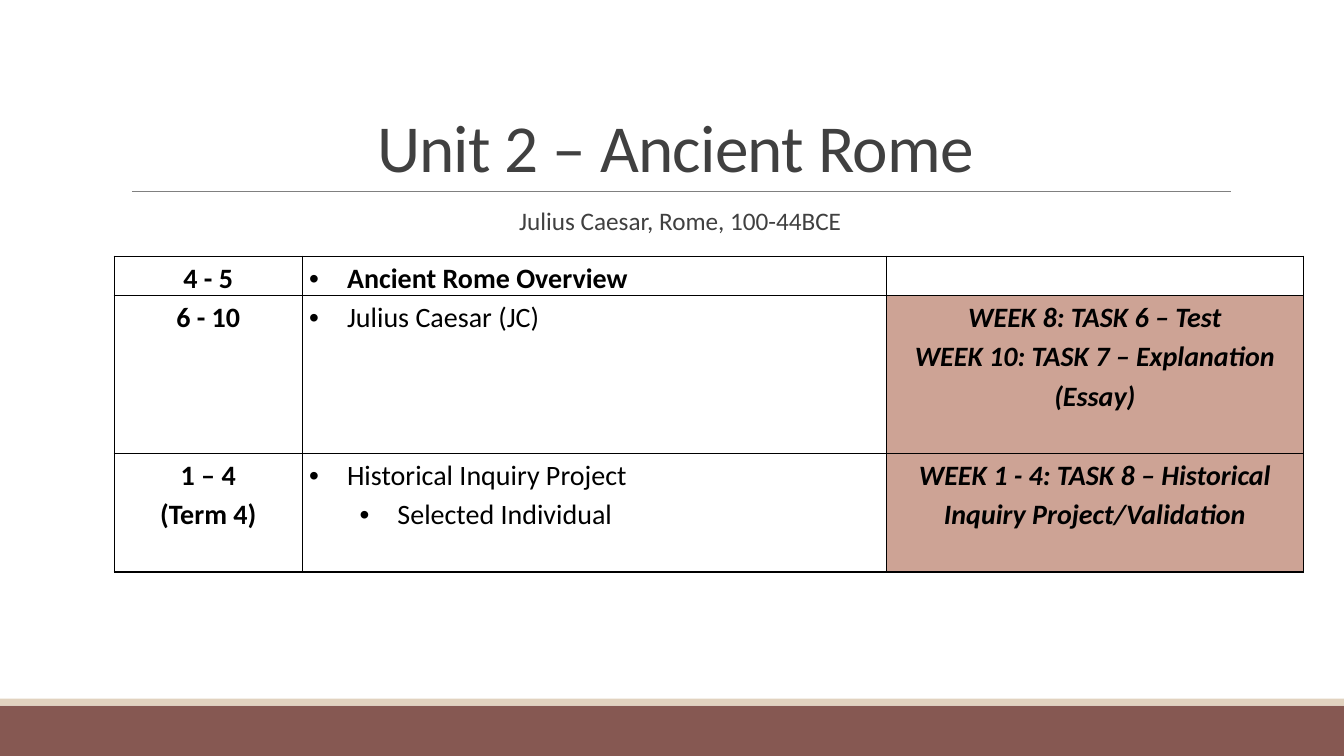
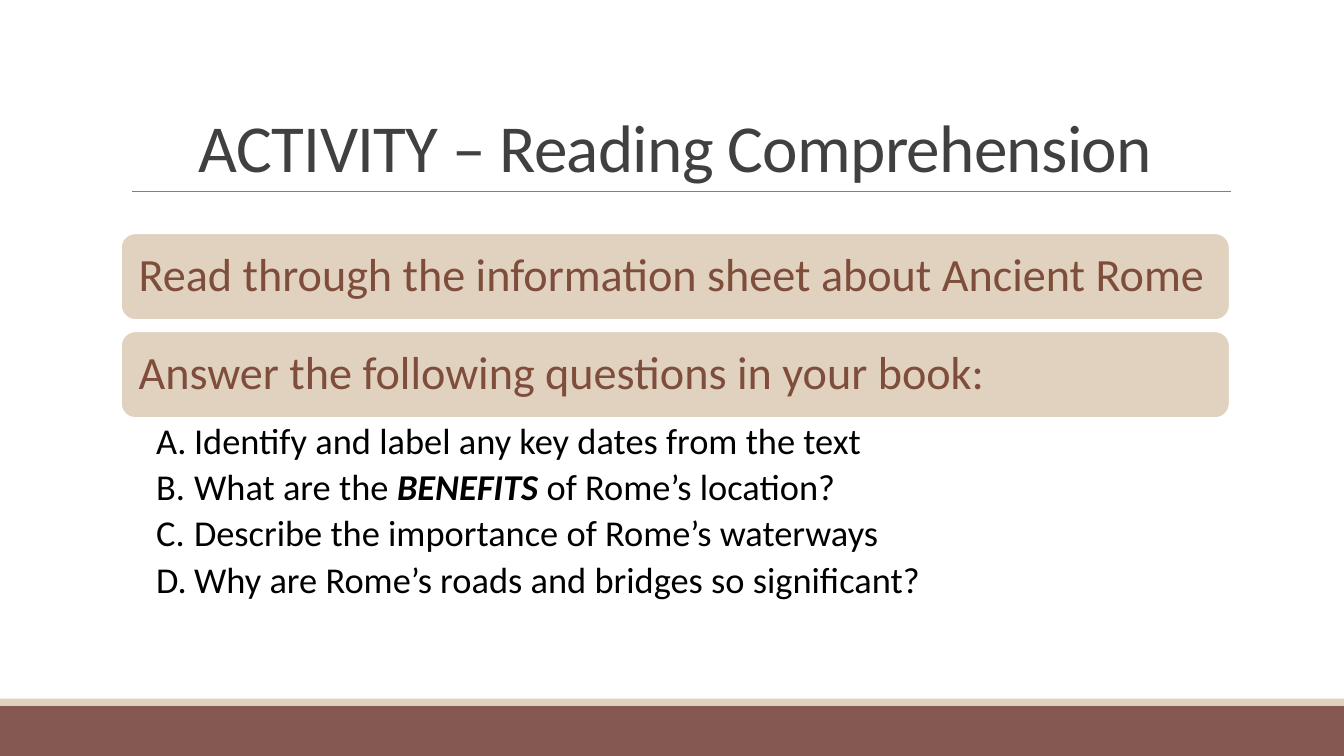
from dataclasses import dataclass

from lxml.etree import SubElement
from pptx import Presentation
from pptx.dml.color import RGBColor
from pptx.enum.shapes import MSO_CONNECTOR as Connector, MSO_SHAPE as Shape
from pptx.enum.text import MSO_ANCHOR as Anchor, PP_ALIGN as Align
from pptx.oxml.ns import qn
from pptx.util import Pt


@dataclass(frozen=True)
class Theme:
    """Colours, font and type sizes shared by the slides."""

    font: str = "Calibri"
    footer: str = "865852"
    sand: str = "E1D2BF"
    rule: str = "808080"
    heading: str = "404040"
    brown: str = "7F4D3C"
    task: str = "CDA395"
    ink: str = "000000"
    white: str = "FFFFFF"
    title_size: float = 48
    subtitle_size: float = 18
    table_size: float = 20
    banner_size: float = 33
    question_size: float = 26


THEME = Theme()
WIDTH, HEIGHT = 960, 540
CONTENT_LEFT, CONTENT_WIDTH = 86.4, 792


def rgb(code):
    """Turn a hex code into a colour."""
    return RGBColor.from_string(code)


def write(frame, text, size, color=THEME.ink, bold=False, italic=False, align=Align.LEFT,
          leading=0.9, after=0, tracking=0, bullet=None, indent=0, hang=0):
    """Add one paragraph; parts between bars are bold italic."""
    para = frame.paragraphs[0]
    if para.runs:
        para = frame.add_paragraph()
    para.alignment, para.line_spacing, para.space_after = align, leading, Pt(after)
    if bullet:
        props = para._p.get_or_add_pPr()
        props.set("marL", str(Pt(indent)))
        props.set("indent", str(-Pt(hang)))
        if bullet == "letters":
            SubElement(props, qn("a:buFont"), typeface=THEME.font)
            SubElement(props, qn("a:buAutoNum"), type="alphaUcPeriod")
        else:
            SubElement(props, qn("a:buFont"), typeface="Arial")
            SubElement(props, qn("a:buChar"), char=bullet)
    for index, part in enumerate(text.split("|")):
        span = para.add_run()
        span.text = part
        font = span.font
        font.name, font.size, font.color.rgb = THEME.font, Pt(size), rgb(color)
        font.bold, font.italic = bold or index % 2 == 1, italic or index % 2 == 1
        if tracking:
            span._r.get_or_add_rPr().set("spc", str(int(tracking * 100)))


def set_frame(frame, insets, anchor=Anchor.TOP):
    """Wrap a text frame and set its insets and anchor."""
    frame.word_wrap, frame.vertical_anchor = True, anchor
    (frame.margin_left, frame.margin_top,
     frame.margin_right, frame.margin_bottom) = [Pt(inset) for inset in insets]
    return frame


def add_text_box(page, box, insets, anchor=Anchor.TOP):
    """Add a text box and return its frame."""
    shape = page.shapes.add_textbox(*[Pt(length) for length in box])
    return set_frame(shape.text_frame, insets, anchor)


def add_block(page, kind, box, fill, line=None):
    """Add a filled shape, outlined on request."""
    shape = page.shapes.add_shape(kind, *[Pt(length) for length in box])
    shape.shadow.inherit = False
    shape.fill.solid()
    shape.fill.fore_color.rgb = rgb(fill)
    if line:
        shape.line.color.rgb, shape.line.width = rgb(line), Pt(1.25)
    else:
        shape.line.fill.background()
    return shape


def add_page(deck, title):
    """Add a slide with the footer bands, title and rule."""
    page = deck.slides.add_slide(deck.slide_layouts[6])
    add_block(page, Shape.RECTANGLE, (0, 504, WIDTH, 36), THEME.footer)
    add_block(page, Shape.RECTANGLE, (0, 499, WIDTH, 5), THEME.sand)
    rule = page.shapes.add_connector(Connector.STRAIGHT, Pt(94.3), Pt(136.8), Pt(879), Pt(136.8))
    rule.line.color.rgb, rule.line.width = rgb(THEME.rule), Pt(0.5)
    SubElement(rule._element.spPr, qn("a:effectLst"))
    frame = add_text_box(page, (CONTENT_LEFT, 22.3, CONTENT_WIDTH, 114.5),
                         (7.2, 3.6, 7.2, 3.6), Anchor.BOTTOM)
    write(frame, title, THEME.title_size, THEME.heading, align=Align.CENTER,
          leading=0.85, tracking=-0.5)
    return page


def style_cell(cell, fill):
    """Give a cell its insets, black borders and fill."""
    set_frame(cell, (5, 0, 5, 0))
    props = cell._tc.get_or_add_tcPr()
    for side in ("lnL", "lnR", "lnT", "lnB"):
        border = SubElement(props, qn(f"a:{side}"), w=str(Pt(1)))
        paint = SubElement(border, qn("a:solidFill"))
        SubElement(paint, qn("a:srgbClr"), val=THEME.ink)
    if fill:
        cell.fill.solid()
        cell.fill.fore_color.rgb = rgb(fill)
    else:
        cell.fill.background()


def add_schedule(page, left, top, columns, rows):
    """Add the table of weeks, topics and tasks."""
    line_height = 28.2
    heights = [line_height * lines for lines, *_ in rows]
    table = page.shapes.add_table(len(rows), len(columns), Pt(left), Pt(top),
                                  Pt(sum(columns)), Pt(sum(heights))).table
    table.first_row = table.horz_banding = False
    for column, width in zip(table.columns, columns):
        column.width = Pt(width)
    for row, height, (_, weeks, topics, tasks) in zip(table.rows, heights, rows):
        row.height = Pt(height)
        week_cell, topic_cell, task_cell = row.cells
        for cell in (week_cell, topic_cell):
            style_cell(cell, None)
        style_cell(task_cell, THEME.task if tasks else None)
        for text in weeks:
            write(week_cell.text_frame, text, THEME.table_size, bold=True,
                  align=Align.CENTER, leading=1.15)
        for level, text, bold in topics:
            write(topic_cell.text_frame, text, THEME.table_size, bold=bold, leading=1.15,
                  bullet="•", indent=27 + 36 * level, hang=27)
        for text in tasks:
            write(task_cell.text_frame, text, THEME.table_size, bold=True, italic=True,
                  align=Align.CENTER, leading=1.15)


def add_banners(page, box, texts, gap):
    """Stack rounded banners and return the bottom of the last."""
    left, top, width, height = box
    for index, text in enumerate(texts):
        place = (left, top + index * (height + gap), width, height)
        banner = add_block(page, Shape.ROUNDED_RECTANGLE, place, THEME.sand, THEME.white)
        frame = set_frame(banner.text_frame, (9.6, 7, 6, 7), Anchor.MIDDLE)
        write(frame, text, THEME.banner_size, THEME.brown)
    return top + len(texts) * (height + gap) - gap


def add_questions(page, box, questions):
    """Add the lettered questions."""
    frame = add_text_box(page, box, (25.2, 3.6, 18.7, 3.6))
    for question in questions:
        write(frame, question, THEME.question_size, after=5,
              bullet="letters", indent=27, hang=27)


def build_unit(deck):
    """Build the unit schedule slide."""
    page = add_page(deck, "Unit 2 – Ancient Rome")
    frame = add_text_box(page, (CONTENT_LEFT, 145.4, CONTENT_WIDTH, 28), (7.2, 3.6, 0, 3.6))
    write(frame, "Julius Caesar, Rome, 100-44BCE", THEME.subtitle_size, THEME.heading,
          align=Align.CENTER)
    add_schedule(page, 81.6, 183, (134.3, 417.3, 297.8), [
        (1, ["4 - 5"], [(0, "Ancient Rome Overview", True)], []),
        (4, ["6 - 10"], [(0, "Julius Caesar (JC)", False)],
         ["WEEK 8: TASK 6 – Test", "WEEK 10: TASK 7 – Explanation (Essay)"]),
        (3, ["1 – 4", "(Term 4)"],
         [(0, "Historical Inquiry Project", False), (1, "Selected Individual", False)],
         ["WEEK 1 - 4: TASK 8 – Historical Inquiry Project/Validation"]),
    ])


def build_activity(deck):
    """Build the reading activity slide."""
    page = add_page(deck, "ACTIVITY – Reading Comprehension")
    bottom = add_banners(page, (CONTENT_LEFT, 166.6, CONTENT_WIDTH, 62), [
        "Read through the information sheet about Ancient Rome",
        "Answer the following questions in your book:",
    ], gap=8)
    add_questions(page, (CONTENT_LEFT, bottom, CONTENT_WIDTH, 142.5), [
        "Identify and label any key dates from the text",
        "What are the |BENEFITS| of Rome’s location?",
        "Describe the importance of Rome’s waterways",
        "Why are Rome’s roads and bridges so significant?",
    ])


def main():
    """Build and save the deck."""
    deck = Presentation()
    deck.slide_width, deck.slide_height = Pt(WIDTH), Pt(HEIGHT)
    build_unit(deck)
    build_activity(deck)
    deck.save("out.pptx")


if __name__ == "__main__":
    main()
